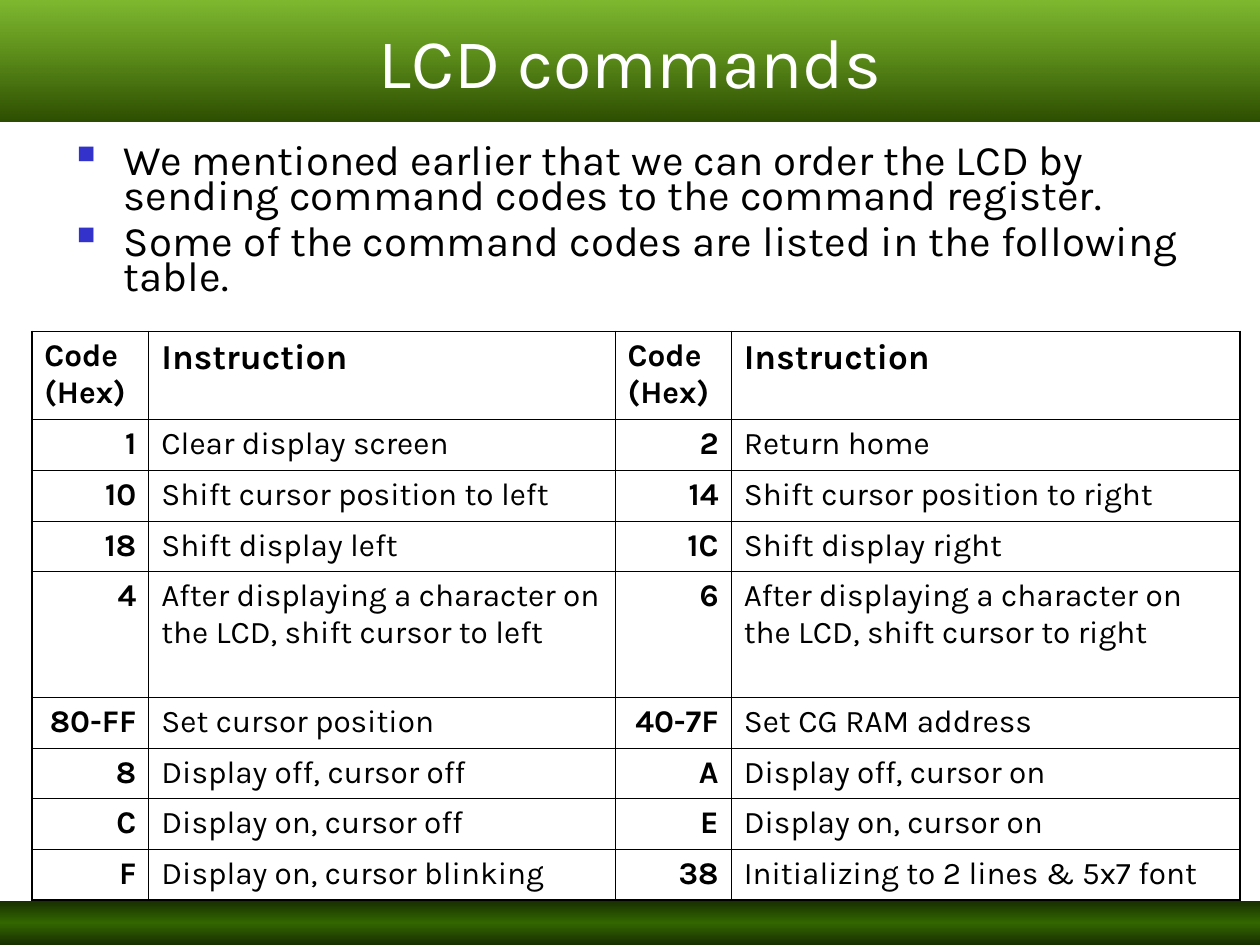
from lxml.etree import SubElement
from pptx import Presentation
from pptx.dml.color import RGBColor
from pptx.enum.shapes import MSO_SHAPE
from pptx.enum.text import MSO_ANCHOR, PP_ALIGN
from pptx.oxml.ns import qn
from pptx.util import Cm, Pt


def color(hex_value):
    return RGBColor.from_string(hex_value)


def fill_downward(shape, stops):
    shape.fill.gradient()
    shape.fill.gradient_angle = 270
    stop_list = shape.fill._fill._gradFill.find(qn("a:gsLst"))
    for old_stop in list(stop_list):
        stop_list.remove(old_stop)
    for position, hex_value, opacity in stops:
        stop = SubElement(stop_list, qn("a:gs"), pos=str(position * 1000))
        tone = SubElement(stop, qn("a:srgbClr"), val=hex_value)
        if opacity < 100:
            SubElement(tone, qn("a:alpha"), val=str(opacity * 1000))


FONT = "Karla"

prs = Presentation()
prs.slide_width, prs.slide_height = Cm(25.4), Cm(19.05)
slide = prs.slides.add_slide(prs.slide_layouts[5])

footer = slide.shapes.add_shape(MSO_SHAPE.RECTANGLE, 0, Cm(18.16), Cm(25.4), Cm(0.89))
footer.shadow.inherit = False
footer.line.fill.background()
fill_downward(footer, [(0, "182F00", 100), (50, "336600", 100), (100, "182F00", 100)])

title = slide.shapes.title
title.left, title.top, title.width, title.height = 0, 0, Cm(25.4), Cm(2.46)
fill_downward(title, [(0, "62A903", 82), (100, "2D4E01", 100)])
title.text_frame.text = "LCD commands"
title.text_frame.vertical_anchor = MSO_ANCHOR.MIDDLE
heading = title.text_frame.paragraphs[0]
heading.alignment = PP_ALIGN.CENTER
heading.runs[0].font.name = FONT
heading.runs[0].font.size = Pt(40)
heading.runs[0].font.color.rgb = color("FFFFFF")

intro = slide.shapes.add_textbox(Cm(1.3), Cm(2.84), Cm(23.09), Cm(3.66)).text_frame
intro.word_wrap = True
intro.text = (
    "We mentioned earlier that we can order the LCD by sending command codes to the command register.\n"
    "Some of the command codes are listed in the following table."
)
for index, point in enumerate(intro.paragraphs):
    point.line_spacing = 0.7
    point.space_before = Pt(6 if index else 0)
    properties = point._p.get_or_add_pPr()
    properties.set("marL", str(Cm(0.95)))
    properties.set("indent", str(Cm(-0.95)))
    bullet_color = SubElement(properties, qn("a:buClr"))
    SubElement(bullet_color, qn("a:srgbClr"), val="3333CC")
    SubElement(properties, qn("a:buSzPct"), val="60000")
    SubElement(properties, qn("a:buChar"), char="■")
    point.runs[0].font.name = FONT
    point.runs[0].font.size = Pt(24)
    point.runs[0].font.color.rgb = color("000000")

commands = [
    ("Code (Hex)", "Instruction", "Code (Hex)", "Instruction"),
    ("1", "Clear display screen", "2", "Return home"),
    ("10", "Shift cursor position to left", "14", "Shift cursor position to right"),
    ("18", "Shift display left", "1C", "Shift display right"),
    ("4", "After displaying a character on the LCD, shift cursor to left",
     "6", "After displaying a character on the LCD, shift cursor to right"),
    ("80-FF", "Set cursor position", "40-7F", "Set CG RAM address"),
    ("8", "Display off, cursor off", "A", "Display off, cursor on"),
    ("C", "Display on, cursor off", "E", "Display on, cursor on"),
    ("F", "Display on, cursor blinking", "38", "Initializing to 2 lines & 5x7 font"),
]
column_widths = [2.36, 9.4, 2.34, 10.26]
row_heights = [1.78] + [1.02] * 3 + [2.54] + [1.02] * 4
last_row, last_column = len(row_heights) - 1, len(column_widths) - 1

table = slide.shapes.add_table(
    len(row_heights), len(column_widths), Cm(0.64), Cm(6.68),
    Cm(sum(column_widths)), Cm(sum(row_heights)),
).table
table.first_row = table.horz_banding = False
for column, width in zip(table.columns, column_widths):
    column.width = Cm(width)
for row, height in zip(table.rows, row_heights):
    row.height = Cm(height)

for r, entries in enumerate(commands):
    for c, entry in enumerate(entries):
        cell = table.cell(r, c)
        is_header, is_code = r == 0, c % 2 == 0
        cell.text_frame.text = entry
        paragraph = cell.text_frame.paragraphs[0]
        paragraph.alignment = PP_ALIGN.RIGHT if is_code and not is_header else PP_ALIGN.LEFT
        font = paragraph.runs[0].font
        font.name = FONT
        font.size = Pt(20 if is_header and not is_code else 18)
        font.bold = is_header or is_code
        font.color.rgb = color("000000")
        outer_edges = {"L": c == 0, "R": c == last_column, "T": r == 0, "B": r == last_row}
        cell_properties = cell._tc.get_or_add_tcPr()
        for side, is_outer in outer_edges.items():
            border = SubElement(cell_properties, qn(f"a:ln{side}"), w=str(Pt(1.08 if is_outer else 0.45)))
            SubElement(SubElement(border, qn("a:solidFill")), qn("a:srgbClr"), val="000000")
        cell.fill.background()

prs.save("out.pptx")
